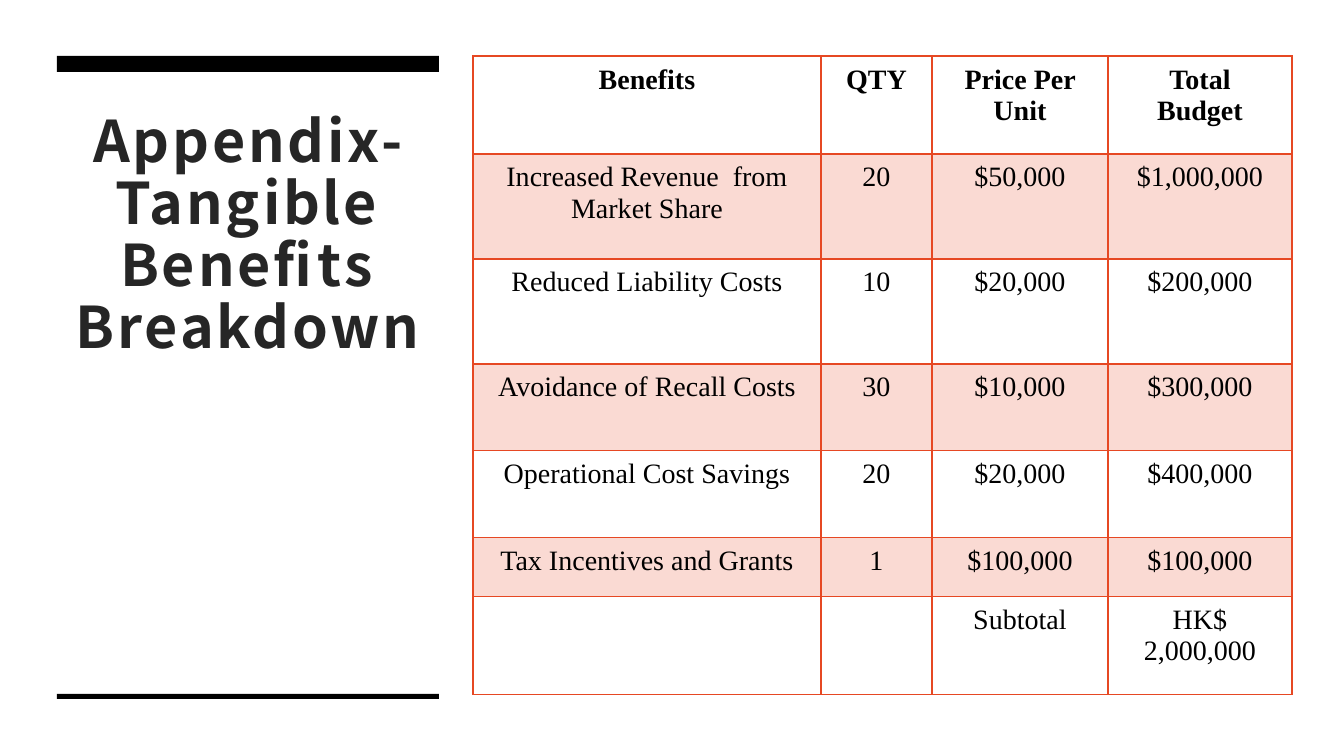
from lxml import etree
from pptx import Presentation
from pptx import util as u
from pptx.dml.color import RGBColor
from pptx.enum import shapes, text
from pptx.oxml import ns

EMU_PER_PX = 914400 / 100.8
COLOURS = {"paper": "FFFFFF", "bar": "000000", "title": "262626",
           "cell": "000000", "accent": "E64823"}
TABLE_FONT = "Times New Roman"
TITLE_FONT = "Noto Sans CJK SC"
COLUMN_WIDTHS = [348, 111, 176, 184]
ROW_HEIGHTS = [98, 105, 105, 87, 87, 59, 98]
BENEFITS = [
    ["Benefits", "QTY", "Price Per Unit", "Total Budget"],
    ["Increased Revenue  from Market Share", "20", "$50,000", "$1,000,000"],
    ["Reduced Liability Costs", "10", "$20,000", "$200,000"],
    ["Avoidance of Recall Costs", "30", "$10,000", "$300,000"],
    ["Operational Cost Savings", "20", "$20,000", "$400,000"],
    ["Tax Incentives and Grants", "1", "$100,000", "$100,000"],
    ["", "", "Subtotal", "HK$ 2,000,000"],
]


def px(length):
    return u.Emu(round(length * EMU_PER_PX))


def colour(name):
    return RGBColor.from_string(COLOURS[name])


def style_text(para, font_name, size, colour_name, bold):
    para.alignment = text.PP_ALIGN.CENTER
    for span in para.runs:
        span.font.name = font_name
        span.font.size = u.Pt(size)
        span.font.bold = bold
        span.font.color.rgb = colour(colour_name)


def add_bar(page, left, top, width, height):
    bar = page.shapes.add_shape(shapes.MSO_SHAPE.RECTANGLE,
                                px(left), px(top), px(width), px(height))
    bar.shadow.inherit = False
    bar.fill.solid()
    bar.fill.fore_color.rgb = colour("bar")
    bar.line.fill.background()


def add_title(page, wording, left, top, width, height):
    box = page.shapes.add_textbox(px(left), px(top), px(width), px(height))
    frame = box.text_frame
    frame.word_wrap = True
    frame.vertical_anchor = text.MSO_ANCHOR.TOP
    frame.text = wording
    para = frame.paragraphs[0]
    para.line_spacing = 0.9
    style_text(para, TITLE_FONT, 41, "title", True)
    for span in para.runs:
        span.font._element.set("spc", "200")


def set_border(cell, edge, points):
    line = etree.Element(ns.qn(f"a:ln{edge}"), w=str(u.Pt(points)))
    fill = etree.SubElement(line, ns.qn("a:solidFill"))
    etree.SubElement(fill, ns.qn("a:srgbClr"), val=COLOURS["accent"])
    cell._tc.get_or_add_tcPr().append(line)


def tint_cell(cell):
    cell.fill.solid()
    cell.fill.fore_color.rgb = colour("accent")
    tint = cell._tc.tcPr.find(ns.qn("a:solidFill"))[0]
    etree.SubElement(tint, ns.qn("a:alpha"), val="20000")


def fill_cell(cell, wording, row):
    cell.margin_left = cell.margin_right = px(16)
    cell.margin_top = cell.margin_bottom = px(8)
    cell.text = wording
    style_text(cell.text_frame.paragraphs[0], TABLE_FONT, 20, "cell", row == 0)
    for edge in "LRTB":
        under_header = (row, edge) in [(0, "B"), (1, "T")]
        set_border(cell, edge, 2 if under_header else 1)
    if row % 2:
        tint_cell(cell)
    else:
        cell.fill.background()


def add_benefits_table(page, left, top):
    table = page.shapes.add_table(
        len(ROW_HEIGHTS), len(COLUMN_WIDTHS), px(left), px(top),
        px(sum(COLUMN_WIDTHS)), px(sum(ROW_HEIGHTS))).table
    table.first_row = False
    table.horz_banding = False
    for column, width in zip(table.columns, COLUMN_WIDTHS):
        column.width = px(width)
    for row, height in enumerate(ROW_HEIGHTS):
        table.rows[row].height = px(height)
        for column, wording in enumerate(BENEFITS[row]):
            fill_cell(table.cell(row, column), wording, row)


def main():
    deck = Presentation()
    deck.slide_width, deck.slide_height = px(1344), px(756)
    page = deck.slides.add_slide(deck.slide_layouts[6])
    page.background.fill.solid()
    page.background.fill.fore_color.rgb = colour("paper")
    add_title(page, "Appendix-Tangible Benefits Breakdown", 57, 108, 382, 270)
    add_bar(page, 57, 56, 382, 16)
    add_bar(page, 57, 694, 382, 5)
    add_benefits_table(page, 473, 56)
    deck.save("out.pptx")


if __name__ == "__main__":
    main()
